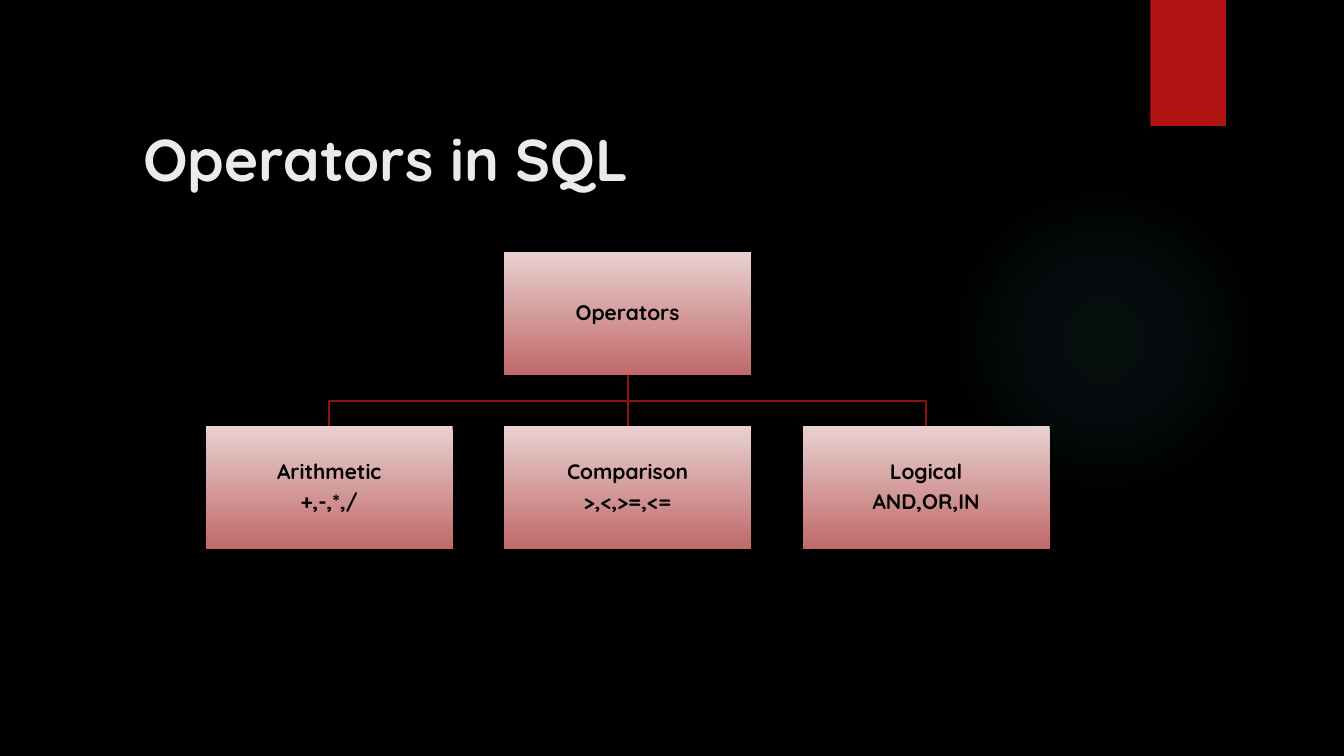
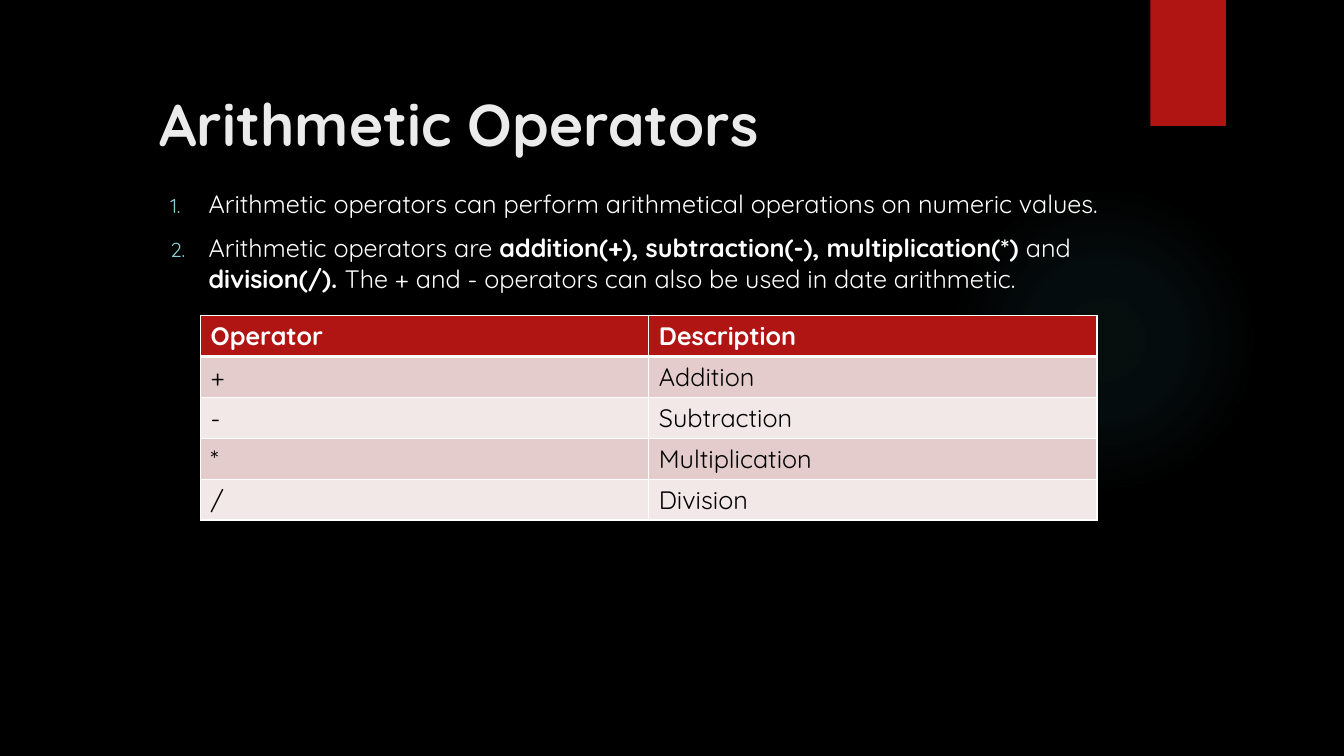
from typing import NamedTuple

from pptx import Presentation
from pptx.dml.color import RGBColor as Rgb
from pptx.enum.shapes import MSO_CONNECTOR as Link, MSO_SHAPE as Form
from pptx.enum.text import MSO_ANCHOR as Anchor, MSO_AUTO_SIZE as Fit, PP_ALIGN as Align
from pptx.oxml import parse_xml
from pptx.oxml.ns import nsdecls
from pptx.util import Inches, Pt

FONT = "Quicksand"
HUES = {
    "back": "000000", "title": "EBEBEB", "white": "FFFFFF", "black": "000000",
    "red": "B01513", "line": "8D110F", "glow": "50B9C1", "number": "8AD0D6",
    "top": "E8D1D0", "base": "C06969", "dark": "E4CCCC", "light": "F2E8E7",
}


class Area(NamedTuple):
    left: float
    top: float
    width: float
    height: float

    def emu(self) -> tuple:
        return tuple(Inches(v) for v in self)


class Node(NamedTuple):
    lines: list
    col: int
    row: int


class Bit(NamedTuple):
    text: str
    bold: bool = False


# Chart grid
BOX_W, BOX_H = 2.45, 1.22
LEFT, TOP = 2.04, 2.5
STEP_X, STEP_Y = 2.96, 1.73
ROOT = Node(["Operators"], 1, 0)
KINDS = [
    Node(["Arithmetic", "+,-,*,/"], 0, 1),
    Node(["Comparison", ">,<,>=,<="], 1, 1),
    Node(["Logical", "AND,OR,IN"], 2, 1),
]

POINTS = [
    [Bit("Arithmetic operators can perform arithmetical operations on numeric values.")],
    [
        Bit("Arithmetic operators are "),
        Bit("addition(+), subtraction(-), multiplication(*) ", True),
        Bit("and "),
        Bit("division(/). ", True),
        Bit("The + and - operators can also be used in date arithmetic."),
    ],
]
ROWS = [
    ("Operator", "Description"),
    ("+", "Addition"),
    ("-", "Subtraction"),
    ("*", "Multiplication"),
    ("/", "Division"),
]


# Shared helpers
def hue(name: str) -> Rgb:
    return Rgb.from_string(HUES[name])


def node_xml(tag: str, attrs: str = "", inner: str = ""):
    return parse_xml(f"<a:{tag} {nsdecls('a')} {attrs}>{inner}</a:{tag}>")


def solid(name: str) -> str:
    return f'<a:solidFill><a:srgbClr val="{HUES[name]}"/></a:solidFill>'


def add_run(para, text: str, size: float, color: str, bold: bool = False) -> None:
    run = para.add_run()
    run.text = text
    font = run.font
    font.name, font.size, font.bold = FONT, Pt(size), bold
    font.color.rgb = hue(color)


def add_form(slide, form, area: Area):
    shape = slide.shapes.add_shape(form, *area.emu())
    shape.shadow.inherit = False
    shape.line.fill.background()
    return shape


def set_line(shape) -> None:
    shape.line.color.rgb = hue("line")
    shape.line.width = Pt(1.5)


# Shared slide parts
def add_glow(slide) -> None:
    glow = add_form(slide, Form.OVAL, Area(9.41, 1.83, 3.08, 3.08))
    glow.fill.background()
    stops = "".join(
        f'<a:gs pos="{pos}000"><a:srgbClr val="{HUES["glow"]}">'
        f'<a:alpha val="{alpha}000"/></a:srgbClr></a:gs>'
        for pos, alpha in [(0, 7), (36, 6), (69, 0)]
    )
    grad = node_xml(
        "gradFill", 'rotWithShape="1"',
        f'<a:gsLst>{stops}</a:gsLst><a:path path="circle">'
        '<a:fillToRect l="50000" t="50000" r="50000" b="50000"/></a:path>',
    )
    props = glow.element.spPr
    props.replace(props.find("{*}noFill"), grad)


def add_slide(deck, title: str, area: Area):
    slide = deck.slides.add_slide(deck.slide_layouts[5])
    add_glow(slide)
    band = add_form(slide, Form.RECTANGLE, Area(11.41, 0, 0.75, 1.25))
    band.fill.solid()
    band.fill.fore_color.rgb = hue("red")

    head = slide.shapes.title
    head.left, head.top, head.width, head.height = area.emu()
    frame = head.text_frame
    frame.auto_size = Fit.NONE
    frame.vertical_anchor = Anchor.MIDDLE
    para = frame.paragraphs[0]
    para.alignment = Align.LEFT
    add_run(para, title, 42, "title", True)
    return slide


# Operator chart
def add_node(slide, node: Node):
    area = Area(LEFT + node.col * STEP_X, TOP + node.row * STEP_Y, BOX_W, BOX_H)
    box = add_form(slide, Form.RECTANGLE, area)
    box.fill.gradient()
    box.fill.gradient_angle = 270
    for stop, name in zip(box.fill.gradient_stops, ("top", "base")):
        stop.color.rgb = hue(name)
    frame = box.text_frame
    frame.word_wrap = True
    frame.vertical_anchor = Anchor.MIDDLE
    frame.margin_left = frame.margin_right = Inches(0.01)
    frame.margin_top = frame.margin_bottom = Inches(0.01)
    for i, line in enumerate(node.lines):
        para = frame.add_paragraph() if i else frame.paragraphs[0]
        para.alignment = Align.CENTER
        para.line_spacing = 0.9
        para.space_after = Pt(5.25)
        add_run(para, line, 15, "black", True)
    return box


def join(slide, root, box) -> None:
    x1, y1 = root.left + root.width // 2, root.top + root.height
    x2, y2 = box.left + box.width // 2, box.top
    if x1 == x2:
        link = slide.shapes.add_connector(Link.STRAIGHT, x1, y1, x2, y2)
        link.begin_connect(root, 2)
        link.end_connect(box, 0)
        set_line(link)
        link.element.spPr.append(node_xml("effectLst"))
        return
    mid = (y1 + y2) // 2
    path = slide.shapes.build_freeform(x1, y1)
    path.add_line_segments([(x1, mid), (x2, mid), (x2, y2)], close=False)
    elbow = path.convert_to_shape()
    elbow.shadow.inherit = False
    elbow.fill.background()
    set_line(elbow)


def draw_chart(deck) -> None:
    slide = add_slide(deck, "Operators in SQL", Area(1.32, 1.12, 10.44, 0.9))
    root = add_node(slide, ROOT)
    for kind in KINDS:
        join(slide, root, add_node(slide, kind))


# Numbered points
def add_points(slide, area: Area) -> None:
    frame = slide.shapes.add_textbox(*area.emu()).text_frame
    frame.word_wrap = True
    for i, bits in enumerate(POINTS):
        para = frame.add_paragraph() if i else frame.paragraphs[0]
        para.space_before = Pt(10)
        props = para._p.get_or_add_pPr()
        props.set("marL", str(Inches(0.45)))
        props.set("indent", str(Inches(-0.38)))
        color = f'<a:srgbClr val="{HUES["number"]}"/>'
        props.append(node_xml("buClr", inner=color))
        props.append(node_xml("buSzPct", 'val="80000"'))
        props.append(node_xml("buAutoNum", 'type="arabicPeriod"'))
        for bit in bits:
            add_run(para, bit.text, 18, "white", bit.bold)


# Operator table
def set_edges(cell, row: int) -> None:
    widths = {"L": 1, "R": 1, "T": 3 if row == 1 else 1, "B": 3 if row == 0 else 1}
    props = cell._tc.get_or_add_tcPr()
    for i, (side, width) in enumerate(widths.items()):
        props.insert(i, node_xml(f"ln{side}", f'w="{Pt(width)}"', solid("white")))


def add_grid(slide, area: Area) -> None:
    table = slide.shapes.add_table(len(ROWS), len(ROWS[0]), *area.emu()).table
    for r, row in enumerate(ROWS):
        fill = "red" if r == 0 else "dark" if r % 2 else "light"
        for c, text in enumerate(row):
            cell = table.cell(r, c)
            cell.fill.solid()
            cell.fill.fore_color.rgb = hue(fill)
            set_edges(cell, r)
            para = cell.text_frame.paragraphs[0]
            add_run(para, text, 18, "black" if r else "white", r == 0)


def draw_table(deck) -> None:
    slide = add_slide(deck, "Arithmetic Operators", Area(1.48, 0.8, 10.24, 0.85))
    add_points(slide, Area(1.52, 1.82, 10.31, 4.56))
    add_grid(slide, Area(1.99, 3.13, 8.89, 2.03))


def main() -> None:
    deck = Presentation()
    deck.slide_width, deck.slide_height = Inches(13.33), Inches(7.5)
    back = deck.slide_master.background.fill
    back.solid()
    back.fore_color.rgb = hue("back")
    draw_chart(deck)
    draw_table(deck)
    deck.save("out.pptx")


if __name__ == "__main__":
    main()
